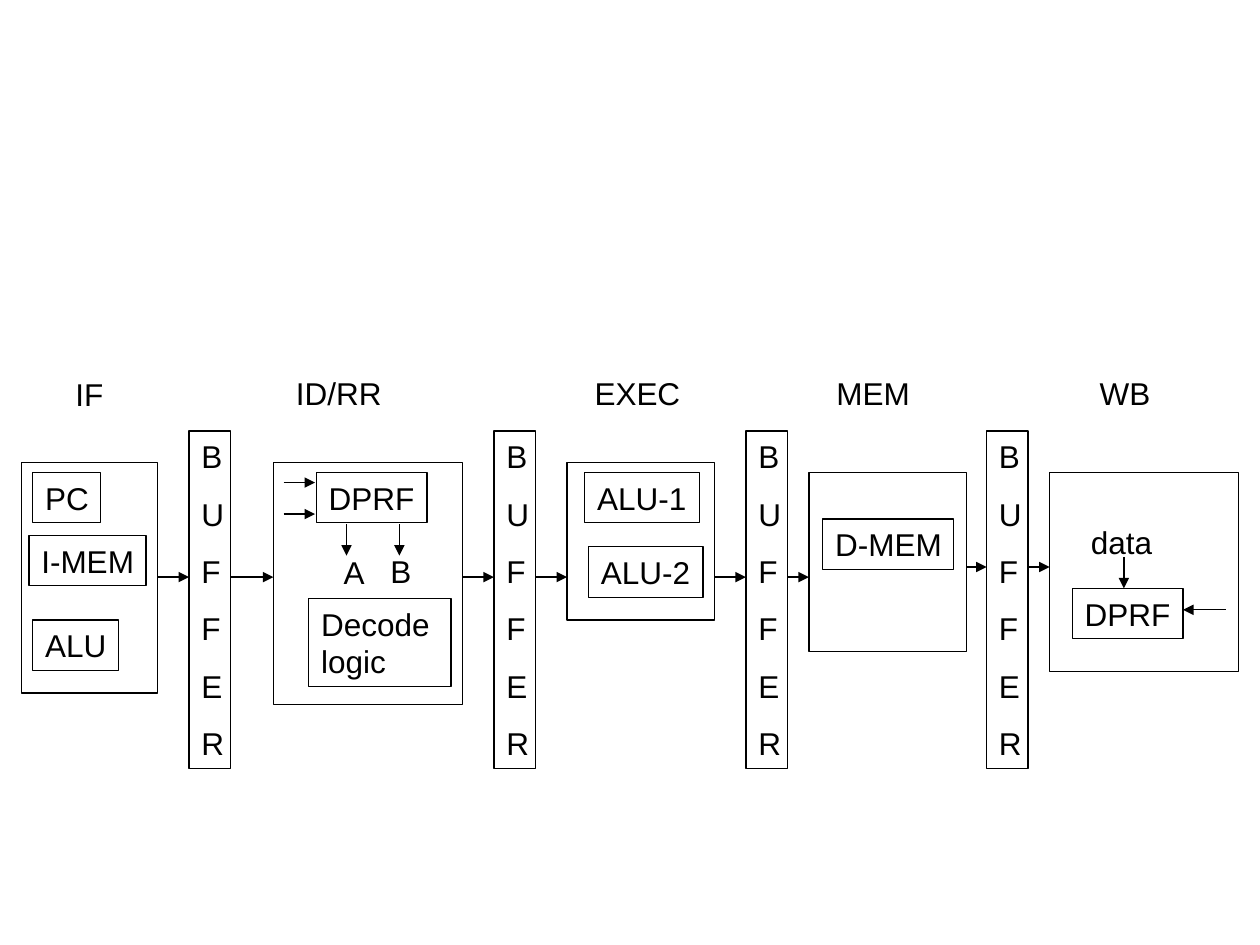
from itertools import chain
from lxml.etree import SubElement
from pptx import Presentation
from pptx.dml.color import RGBColor
from pptx.enum.shapes import MSO_CONNECTOR as Connector, MSO_SHAPE as Shape
from pptx.enum.text import MSO_ANCHOR as Anchor, MSO_AUTO_SIZE as AutoSize, PP_ALIGN as Align
from pptx.oxml.ns import qn
from pptx.util import Inches, Pt

BLACK = RGBColor(0, 0, 0)
FONT = "Arial"
LINE_WIDTH = Pt(0.74)
ROW_HEIGHT = 0.4

STAGES = [
    {"label": ("IF", 0.5, 2.93, 0.42), "frame": (0.17, 3.67, 1.08, 1.83),
     "units": [("PC", 0.26, 3.75, 0.54), ("I-MEM", 0.23, 4.25, 0.93), ("ALU", 0.26, 4.92, 0.68)]},
    {"label": ("ID/RR", 2.25, 2.92, 0.88), "frame": (2.17, 3.67, 1.5, 1.92),
     "units": [("DPRF", 2.51, 3.75, 0.88), ("Decode \nlogic", 2.45, 4.75, 1.13, 0.7)]},
    {"label": ("EXEC", 4.62, 2.92, 0.88), "frame": (4.5, 3.67, 1.17, 1.25),
     "units": [("ALU-1", 4.64, 3.75, 0.91), ("ALU-2", 4.67, 4.34, 0.91)]},
    {"label": ("MEM", 6.54, 2.92, 0.78), "frame": (6.42, 3.75, 1.25, 1.42),
     "units": [("D-MEM", 6.53, 4.12, 1.04)]},
    {"label": ("WB", 8.63, 2.92, 0.6), "frame": (8.33, 3.75, 1.5, 1.58),
     "units": [("DPRF", 8.51, 4.67, 0.88)]},
]
SIGNALS = [("A", 2.63, 4.34, 0.36), ("B", 3, 4.33, 0.36), ("data", 8.56, 4.1, 0.68)]
SIGNAL_ARROWS = [
    (2.25, 3.83, 2.5, 3.83), (2.25, 4.08, 2.5, 4.08),
    (2.75, 4.16, 2.75, 4.41), (3.17, 4.16, 3.17, 4.41),
    (8.92, 4.42, 8.92, 4.67), (9.73, 4.84, 9.39, 4.84),
]
BUFFER_TEXT = "\n".join("BUFFER")
BUFFER_TOP, BUFFER_WIDTH, BUFFER_HEIGHT = 3.42, 0.33, 2.68
BUFFERS = [(1.5, 4.58), (3.92, 4.58), (5.92, 4.58), (7.83, 4.5)]

deck = Presentation()
deck.slide_width, deck.slide_height = Inches(10), Inches(7.5)
page = deck.slides.add_slide(deck.slide_layouts[6])


def add_box(text, left, top, width, height=ROW_HEIGHT, outlined=True, space_before=0):
    place = [Inches(value) for value in (left, top, width, height)]
    if outlined:
        box = page.shapes.add_shape(Shape.RECTANGLE, *place)
        box.shadow.inherit = False
        box.fill.background()
        box.line.color.rgb = BLACK
        box.line.width = LINE_WIDTH
    else:
        box = page.shapes.add_textbox(*place)
    if not text:
        return
    frame = box.text_frame
    frame.text = text
    frame.word_wrap = True
    frame.auto_size = AutoSize.NONE
    frame.margin_right = 0
    frame.vertical_anchor = Anchor.TOP
    for para in frame.paragraphs:
        para.alignment = Align.LEFT
        para.space_before = Pt(space_before)
        for span in para.runs:
            span.font.name = FONT
            span.font.size = Pt(18)
            span.font.color.rgb = BLACK


def add_arrow(*ends):
    arrow = page.shapes.add_connector(Connector.STRAIGHT, *[Inches(value) for value in ends])
    arrow.line.color.rgb = BLACK
    arrow.line.width = LINE_WIDTH
    SubElement(arrow.line._get_or_add_ln(), qn("a:tailEnd"), type="triangle")
    SubElement(arrow._element.spPr, qn("a:effectLst"))


for stage in STAGES:
    add_box("", *stage["frame"])
    add_box(*stage["label"], outlined=False)
    for unit in stage["units"]:
        add_box(*unit)

for signal in SIGNALS:
    add_box(*signal, outlined=False)

flow_arrows = []
for (left, flow), before, after in zip(BUFFERS, STAGES, STAGES[1:]):
    add_box(BUFFER_TEXT, left, BUFFER_TOP, BUFFER_WIDTH, BUFFER_HEIGHT, space_before=11.2)
    stage_left, _, stage_width, _ = before["frame"]
    flow_arrows.append((stage_left + stage_width, flow, left, flow))
    flow_arrows.append((left + BUFFER_WIDTH, flow, after["frame"][0], flow))

for ends in chain(SIGNAL_ARROWS, flow_arrows):
    add_arrow(*ends)

deck.save("out.pptx")
